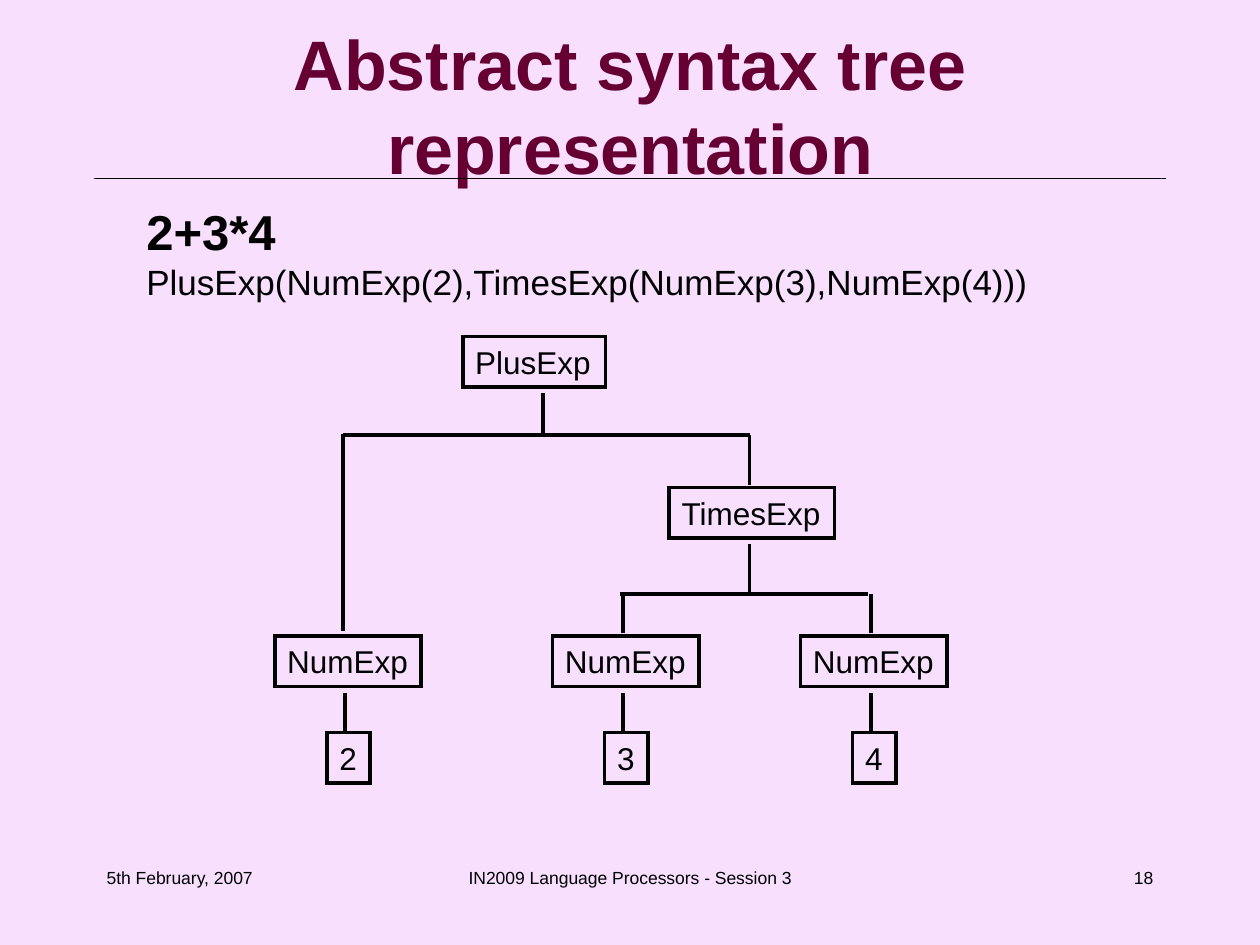
"""Build the slide on the abstract syntax tree of 2+3*4."""
from lxml import etree
from pptx import Presentation
from pptx.dml.color import RGBColor
from pptx.enum.shapes import MSO_CONNECTOR, MSO_SHAPE
from pptx.enum.text import MSO_ANCHOR, MSO_AUTO_SIZE, PP_ALIGN
from pptx.oxml.ns import qn
from pptx.util import Cm, Pt

LEFT, MID, RIGHT = PP_ALIGN.LEFT, PP_ALIGN.CENTER, PP_ALIGN.RIGHT
TOP, CENTRE = MSO_ANCHOR.TOP, MSO_ANCHOR.MIDDLE
FIXED, GROW = MSO_AUTO_SIZE.NONE, MSO_AUTO_SIZE.SHAPE_TO_FIT_TEXT
RECT, STRAIGHT = MSO_SHAPE.RECTANGLE, MSO_CONNECTOR.STRAIGHT

BLACK, WINE, PINK = "000000", "660033", "F7DFFD"
TITLE = "Abstract syntax tree representation"
BODY = [("2+3*4", 28, True),
        ("PlusExp(NumExp(2),TimesExp(NumExp(3),NumExp(4)))", 20, False)]
FOOT = [("5th February, 2007", 1.9, 5.29, LEFT),
        ("IN2009 Language Processors - Session 3", 8.68, 8.04, MID),
        ("18", 18.21, 5.29, RIGHT)]
NODES = [("PlusExp", 9.33, 6.78, 2.88), ("TimesExp", 13.49, 9.83, 3.33)]
LEAVES = [("2", 6.96), ("3", 12.56), ("4", 17.56)]
EDGES = [(10.95, 7.92, 10.95, 8.72), (6.91, 8.77, 15.11, 8.77),
         (6.91, 8.74, 6.91, 12.73), (15.11, 8.77, 15.11, 9.78),
         (15.11, 10.97, 15.11, 11.97), (12.5, 11.97, 17.5, 11.97),
         (12.56, 11.97, 12.56, 12.77), (17.56, 11.97, 17.56, 12.77)]
HIGH = 1.02


def rgb(code):
    """Turn a hex string into a colour."""
    return RGBColor.from_string(code)


def place(item, x, y, w, h):
    """Move and size an item, in centimetres."""
    item.left, item.top, item.width, item.height = Cm(x), Cm(y), Cm(w), Cm(h)


def setup(frame, anchor=TOP, wrap=True, fit=FIXED):
    """Set the inner layout of a text frame."""
    frame.word_wrap, frame.auto_size = wrap, fit
    frame.vertical_anchor = anchor
    frame.margin_left = frame.margin_right = Cm(0.25)
    frame.margin_top = frame.margin_bottom = Cm(0.13)


def write(para, text, size, align=LEFT, bold=False, color=BLACK):
    """Add one run to a paragraph."""
    para.alignment = align
    run = para.add_run()
    run.text = text
    font = run.font
    font.name, font.size, font.bold = "Arial", Pt(size), bold
    font.color.rgb = rgb(color)


def draw(slide, ends, width=2):
    """Draw a straight line between two points."""
    line = slide.shapes.add_connector(STRAIGHT, *map(Cm, ends))
    line.line.color.rgb, line.line.width = rgb(BLACK), Pt(width)
    etree.SubElement(line._element.spPr, qn("a:effectLst"))


def add_node(slide, text, x, y, w):
    """Add one framed node of the tree."""
    box = slide.shapes.add_shape(RECT, Cm(x), Cm(y), Cm(w), Cm(HIGH))
    box.shadow.inherit = False
    box.fill.background()
    box.line.color.rgb, box.line.width = rgb(BLACK), Pt(2)
    edge = box._element.spPr.find(qn("a:ln"))
    etree.SubElement(edge, qn("a:miter"), lim="800000")
    setup(box.text_frame, wrap=False, fit=GROW)
    write(box.text_frame.paragraphs[0], text, 18)


def add_text(slide):
    """Fill the title, the body and the footer."""
    title, body = slide.placeholders
    place(title, 1.27, 0.84, 22.86, 2.54)
    setup(title.text_frame, CENTRE)
    write(title.text_frame.paragraphs[0], TITLE, 40, MID, True, WINE)

    place(body, 2.7, 3.94, 20.07, 3.05)
    frame = body.text_frame
    setup(frame)
    for i, (text, size, bold) in enumerate(BODY):
        para = frame.add_paragraph() if i else frame.paragraphs[0]
        para.space_before = Pt(0)
        props = para._p.get_or_add_pPr()
        props.set("marL", str(Cm(0.95)))
        props.set("indent", str(-Cm(0.95)))
        etree.SubElement(props, qn("a:buNone"))
        write(para, text, size, bold=bold)

    for text, x, w, align in FOOT:
        box = slide.shapes.add_textbox(Cm(x), Cm(17.35), Cm(w), Cm(1.27))
        setup(box.text_frame)
        write(box.text_frame.paragraphs[0], text, 10, align)


def add_tree(slide):
    """Draw the nodes, the leaves and the edges."""
    for node in NODES:
        add_node(slide, *node)
    for value, x in LEAVES:
        add_node(slide, "NumExp", x - 1.42, 12.82, 2.95)
        add_node(slide, value, x - 0.37, 14.77, 0.87)
        draw(slide, (x, 13.97, x, 14.77))
    for edge in EDGES:
        draw(slide, edge)


def main():
    """Make and save the slide."""
    deck = Presentation()
    deck.slide_width, deck.slide_height = Cm(25.4), Cm(19.05)
    slide = deck.slides.add_slide(deck.slide_layouts[1])
    fill = slide.background.fill
    fill.solid()
    fill.fore_color.rgb = rgb(PINK)
    draw(slide, (1.9, 3.6, 23.5, 3.6), 0.75)
    add_text(slide)
    add_tree(slide)
    deck.save("out.pptx")


if __name__ == "__main__":
    main()
